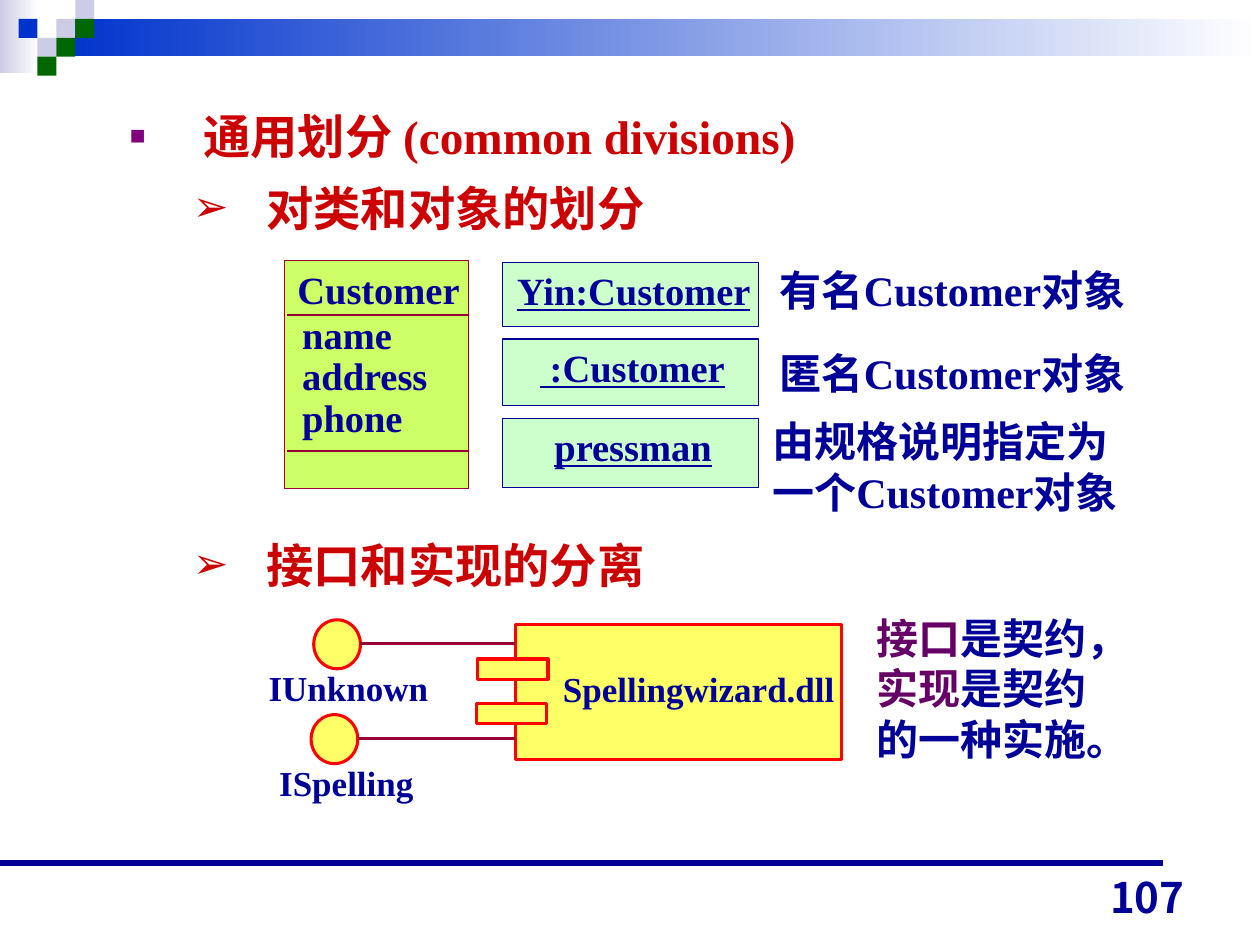
from lxml import etree
from pptx import Presentation
from pptx.dml.color import RGBColor
from pptx.enum.shapes import MSO_CONNECTOR, MSO_SHAPE
from pptx.enum.text import MSO_ANCHOR, MSO_AUTO_SIZE, PP_ALIGN
from pptx.oxml.ns import qn
from pptx.util import Pt


def add_block(kind, left, top, width, height, fill, line=None, weight=0.75):
    block = page.shapes.add_shape(kind, Pt(left), Pt(top), Pt(width), Pt(height))
    block.shadow.inherit = False
    block.fill.solid()
    block.fill.fore_color.rgb = RGBColor.from_string(fill)
    if line:
        block.line.color.rgb = RGBColor.from_string(line)
        block.line.width = Pt(weight)
    else:
        block.line.fill.background()
    return block


def style_span(span, size, color, font="Times New Roman", underline=None):
    span.font.size = Pt(size)
    span.font.name = font
    span.font.bold = True
    span.font.underline = underline
    span.font.color.rgb = RGBColor.from_string(color)
    etree.SubElement(span.font._element, qn("a:ea"), typeface="Noto Sans CJK JP")


deck = Presentation()
deck.slide_width, deck.slide_height = Pt(720), Pt(540)
page = deck.slides.add_slide(deck.slide_layouts[1])
title = page.shapes.title
title.element.getparent().remove(title.element)

for left, top, width, height, start in [
    (0, 0, 22.3, 41.8, "CCCCE6"),
    (32.4, 10.8, 687.6, 21.4, "0033CC"),
]:
    band = add_block(MSO_SHAPE.RECTANGLE, left, top, width, height, start)
    band.fill.gradient()
    band.fill.gradient_angle = 0
    for stop, color in zip(band.fill.gradient_stops, (start, "FFFFFF")):
        stop.color.rgb = RGBColor.from_string(color)

step = 10.8
for column, row, color in [
    (2, 1, "CCCCE6"), (3, 0, "CCCCE6"), (3, 1, "006600"), (1, 2, "CCCCE6"),
    (0, 1, "0033CC"), (2, 2, "006600"), (1, 3, "006600"),
]:
    add_block(MSO_SHAPE.RECTANGLE, 10.6 + column * step, row * step, step, step, color)

body = page.placeholders[1]
body.left, body.top, body.width, body.height = Pt(67), Pt(56.2), Pt(600), Pt(324)
frame = body.text_frame
frame.auto_size = MSO_AUTO_SIZE.NONE
frame.vertical_anchor = MSO_ANCHOR.TOP
frame.text = "通用划分 (common divisions)\n对类和对象的划分\n接口和实现的分离"
bullets = [
    (0, 42, 0, "■", "800080", 55),
    (1, 78, 6.8, "➢", "CC0000", 90),
    (1, 78, 170, "➢", "CC0000", 90),
]
for paragraph, (level, margin, before, mark, color, percent) in zip(frame.paragraphs, bullets):
    paragraph.level = level
    properties = paragraph._p.get_or_add_pPr()
    properties.set("marL", str(Pt(margin)))
    properties.set("indent", str(Pt(-42)))
    bullet_color = etree.SubElement(properties, qn("a:buClr"))
    etree.SubElement(bullet_color, qn("a:srgbClr"), val=color)
    etree.SubElement(properties, qn("a:buSzPct"), val=str(percent * 1000))
    etree.SubElement(properties, qn("a:buChar"), char=mark)
    paragraph.line_spacing = Pt(34)
    paragraph.space_before = Pt(before)
    style_span(paragraph.runs[0], 27, "CC0000")

component = add_block(MSO_SHAPE.RECTANGLE, 294.5, 357.1, 186.5, 77, "FFFF66", "FF0000", 1.75)
frame = component.text_frame
frame.text = "Spellingwizard.dll"
frame.word_wrap = False
frame.vertical_anchor = MSO_ANCHOR.MIDDLE
frame.margin_left, frame.margin_right = Pt(27.2), Pt(0)
frame.paragraphs[0].alignment = PP_ALIGN.LEFT
frame.paragraphs[0].line_spacing = 0.8
style_span(frame.paragraphs[0].runs[0], 20, "000099")

for left, top in [(272.9, 376.6), (272.2, 401.8)]:
    add_block(MSO_SHAPE.RECTANGLE, left, top, 40.3, 11.5, "FFFF66", "FF0000", 1.75)
for left, top in [(179.3, 354.2), (177.8, 408.4)]:
    add_block(MSO_SHAPE.OVAL, left, top, 26.7, 28, "FFFF66", "FF0000", 1.75)

add_block(MSO_SHAPE.RECTANGLE, 162.7, 149, 105.1, 130.3, "CCFF66", "990033")
for top, height in [(149.8, 36.7), (193.7, 38.2), (239, 39.6)]:
    add_block(MSO_SHAPE.RECTANGLE, 287.3, top, 146.2, height, "CCFFCC", "000099")

for left, right, y, color, weight in [
    (0, 664.6, 493.2, "000099", 3.5),
    (206, 294.5, 367.9, "990033", 1.75),
    (204.5, 294.5, 422, "990033", 1.75),
    (164.2, 267.8, 180, "990033", 0.75),
    (164.2, 267.8, 257.8, "990033", 0.75),
]:
    rule = page.shapes.add_connector(MSO_CONNECTOR.STRAIGHT, Pt(left), Pt(y), Pt(right), Pt(y))
    rule.line.color.rgb = RGBColor.from_string(color)
    rule.line.width = Pt(weight)
    etree.SubElement(rule._element.spPr, qn("a:effectLst"))

center, start = PP_ALIGN.CENTER, PP_ALIGN.LEFT
keywords = ("接口", "实现")
tight = Pt(28.8)
labels = [
    (141.2, 376.6, 115.8, 36, 20, center, 0.9, False, [["IUnknown"]]),
    (147.6, 430.6, 100.7, 36, 20, center, 0.9, False, [["ISpelling"]]),
    (157.7, 148.3, 117.3, 33.8, 22, center, 1, False, [["Customer"]]),
    (165.6, 177.1, 96.4, 78.5, 22, start, 0.9, False, [["name"], ["address"], ["phone"]]),
    (283, 149, 158.3, 33.8, 22, center, 1, True, [["Yin:Customer"]]),
    (296.7, 193, 129.5, 33.8, 22, center, 1, True, [[" :Customer"]]),
    (304.6, 238.3, 114.4, 33.8, 22, center, 1, True, [["pressman"]]),
    (427.7, 147.6, 233.2, 36, 24, center, tight, False, [["有名Customer对象"]]),
    (427.7, 195.1, 233.2, 36, 24, center, tight, False, [["匿名Customer对象"]]),
    (434.2, 234, 233.2, 64.8, 24, start, tight, False, [["由规格说明指定为"], ["一个Customer对象"]]),
    (493.9, 346.3, 168.4, 93.6, 24, start, tight, False,
     [["接口", "是契约，"], ["实现", "是契约"], ["的一种实施。"]]),
    (516.2, 494.6, 167.8, 36, 24, PP_ALIGN.RIGHT, 1, False, [["107"]]),
]
for left, top, width, height, size, alignment, spacing, underline, lines in labels:
    box = page.shapes.add_textbox(Pt(left), Pt(top), Pt(width), Pt(height))
    frame = box.text_frame
    numbered = lines == [["107"]]
    frame.word_wrap = numbered
    if numbered:
        frame.vertical_anchor = MSO_ANCHOR.BOTTOM
    elif size == 20:
        frame.vertical_anchor = MSO_ANCHOR.MIDDLE
    for index, line in enumerate(lines):
        paragraph = frame.add_paragraph() if index else frame.paragraphs[0]
        paragraph.alignment = alignment
        paragraph.line_spacing = spacing
        for text in line:
            span = paragraph.add_run()
            span.text = text
            color = "660066" if text in keywords else "000099"
            font = "Noto Sans CJK JP" if numbered else "Times New Roman"
            style_span(span, size, color, font, underline)

deck.save("out.pptx")
